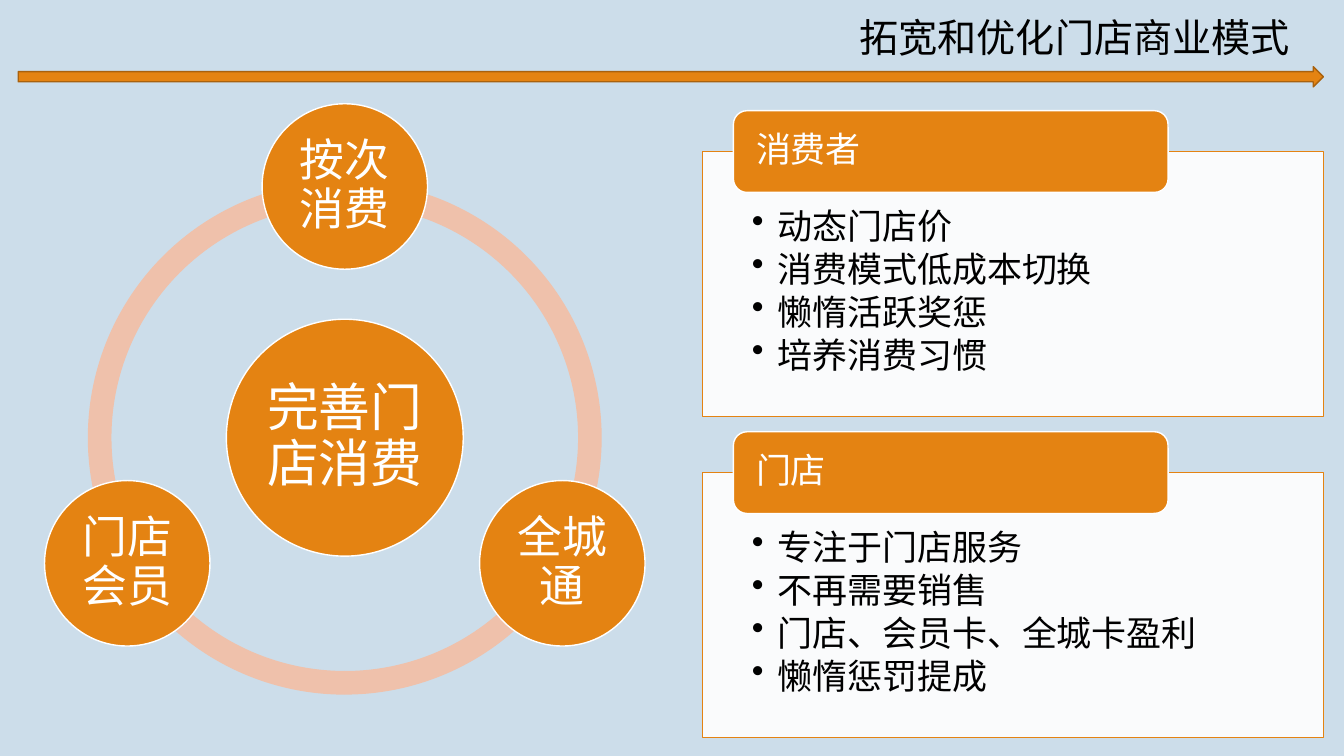
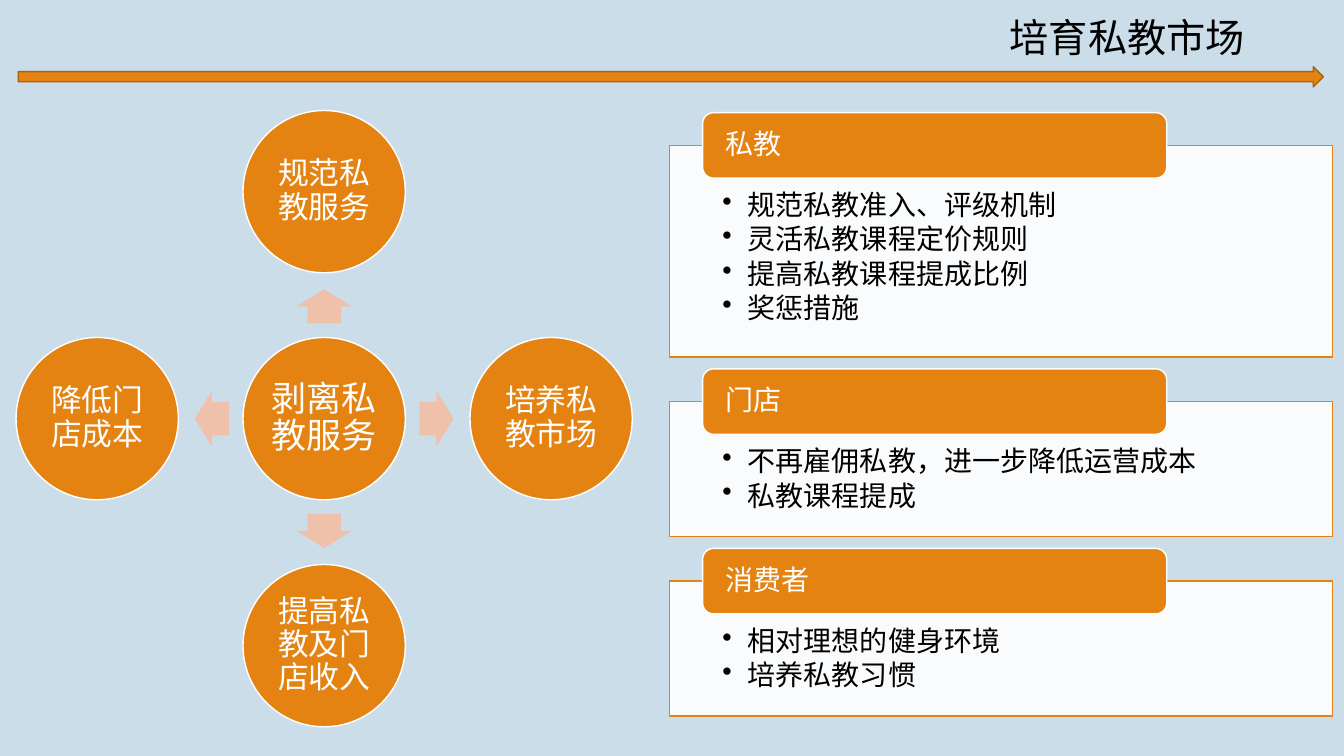
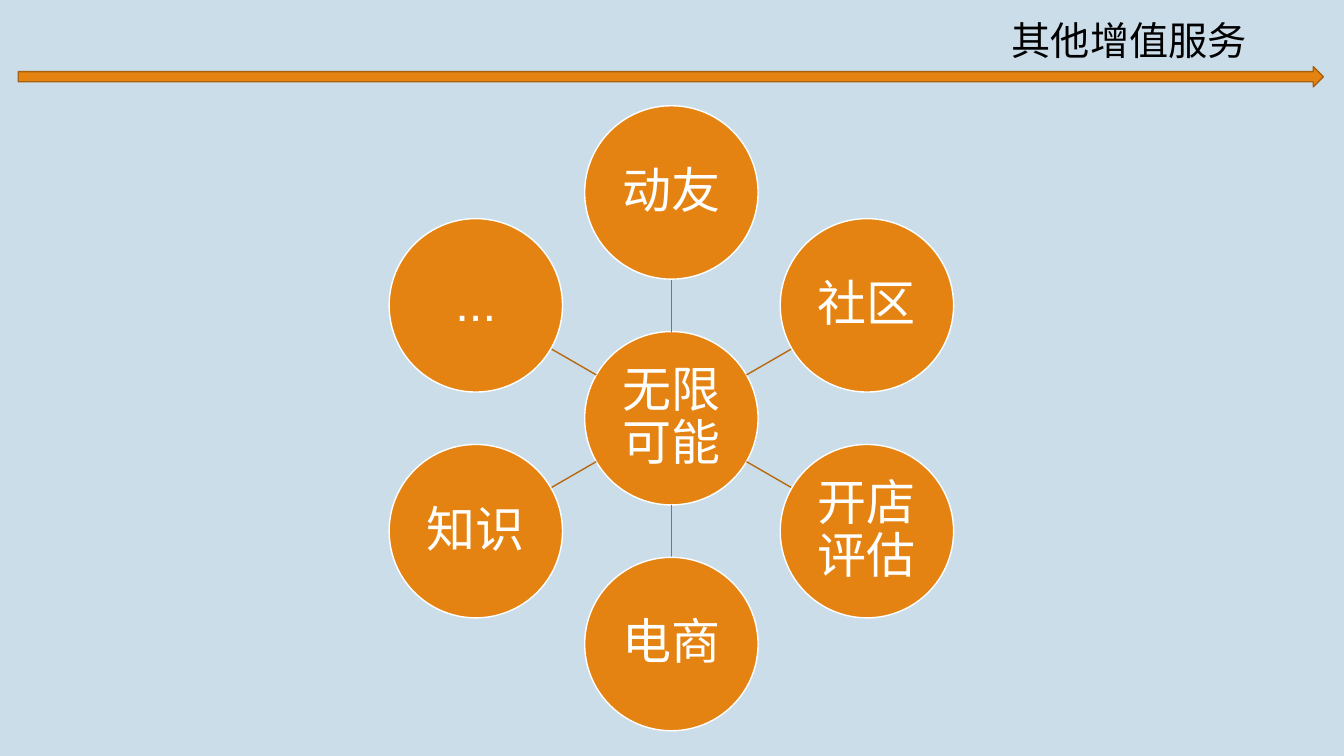
from dataclasses import dataclass
from math import cos, radians, sin

from lxml.etree import SubElement as Sub
from pptx import Presentation
from pptx.dml.color import RGBColor as Rgb
from pptx.enum.shapes import MSO_CONNECTOR as Link, MSO_SHAPE as Kind
from pptx.enum.text import MSO_ANCHOR as Anchor, MSO_AUTO_SIZE as Fit, PP_ALIGN as Align
from pptx.oxml.ns import qn
from pptx.util import Cm, Pt


# Theme: colours, font and type sizes
@dataclass(frozen=True)
class Theme:
    back: str = "CCDDEA"
    main: str = "E48312"
    edge: str = "A9610D"
    spoke: str = "B7690E"
    pale: str = "EFC1AB"
    white: str = "FFFFFF"
    black: str = "000000"
    font: str = "Arial"
    title: int = 28
    hub: int = 37
    node: int = 32
    core: int = 25
    leaf: int = 22
    star: int = 35
    large: int = 25
    small: int = 20


T = Theme()


# Basic elements
def color(code):
    return Rgb.from_string(code)


def style(para, size, ink):
    for run in para.runs:
        run.font.name = T.font
        run.font.size = Pt(size)
        run.font.color.rgb = color(ink)


def shape(slide, kind, x, y, w, h, fill, line=None):
    item = slide.shapes.add_shape(kind, Cm(x), Cm(y), Cm(w), Cm(h))
    item.shadow.inherit = False
    item.fill.solid()
    item.fill.fore_color.rgb = color(fill)
    if line:
        item.line.color.rgb = color(line)
        item.line.width = Pt(1)
    else:
        item.line.fill.background()
    return item


def inset(frame, left, top, right, bottom):
    frame.margin_left, frame.margin_top = Cm(left), Cm(top)
    frame.margin_right, frame.margin_bottom = Cm(right), Cm(bottom)


def label(item, text, size, align, side, edge):
    frame = item.text_frame
    frame.word_wrap = True
    frame.vertical_anchor = Anchor.MIDDLE
    inset(frame, side, edge, side, edge)
    frame.text = text
    para = frame.paragraphs[0]
    para.alignment = align
    para.line_spacing = 0.9
    style(para, size, T.white)


def disc(slide, x, y, width, text, size):
    item = shape(slide, Kind.OVAL, x - width / 2, y - width / 2,
                 width, width, T.main, T.white)
    label(item, text, size, Align.CENTER, 0.08, 0.08)


def polar(x, y, dist, angle):
    turn = radians(angle)
    return x + dist * cos(turn), y + dist * sin(turn)


def angles(count):
    return [-90 + 360 / count * i for i in range(count)]


# Panels: a bulleted box with a heading tab on its upper edge
def bullet(para, size):
    para.level = 1
    para.alignment = Align.LEFT
    para.line_spacing = 0.9
    para.space_after = Pt(size * 0.15)
    props = para._p.get_or_add_pPr()
    props.set("marL", str(Cm(0.64)))
    props.set("indent", str(-Cm(0.64)))
    Sub(props, qn("a:buChar")).set("char", "•")
    style(para, size, T.black)


def panel(slide, x, y, w, h, tab, head, lines, size):
    box = shape(slide, Kind.RECTANGLE, x, y + tab / 2, w, h, T.white, T.main)
    tint = box.fill._xPr.find(".//" + qn("a:srgbClr"))
    Sub(tint, qn("a:alpha")).set("val", "90000")
    frame = box.text_frame
    frame.word_wrap = True
    frame.vertical_anchor = Anchor.TOP
    side = w * 0.08
    inset(frame, side, tab * 0.7, side, 0.45)
    frame.text = "\n".join(lines)
    for para in frame.paragraphs:
        bullet(para, size)
    cap = shape(slide, Kind.ROUNDED_RECTANGLE, x + w * 0.05, y,
                w * 0.7, tab, T.main, T.white)
    label(cap, head, size, Align.LEFT, w * 0.03, 0)


def stack(slide, x, y, w, tab, gap, size, panels):
    for head, h, lines in panels:
        panel(slide, x, y, w, h, tab, head, lines, size)
        y += tab / 2 + h + gap


# Diagrams
def ring(slide, x, y, hub, nodes):
    wide = 12.95
    for start, end in ((90, 162), (18, 90), (162, 18)):
        arc = shape(slide, Kind.BLOCK_ARC, x - wide / 2, y - wide / 2,
                    wide, wide, T.pale)
        # Angles count in 60000ths of a degree, adjustments in 100000ths
        for i, value in enumerate((start * 0.6, end * 0.6, 0.046)):
            arc.adjustments[i] = value
    disc(slide, x, y, 5.97, hub, T.hub)
    for text, angle in zip(nodes, angles(len(nodes))):
        disc(slide, *polar(x, y, 6.33, angle), 4.17, text, T.node)


def burst(slide, x, y, hub, nodes):
    wide, long, tall = 4.09, 0.86, 1.4
    disc(slide, x, y, wide, hub, T.core)
    for text, angle in zip(nodes, angles(len(nodes))):
        ax, ay = polar(x, y, 2.83, angle)
        arrow = shape(slide, Kind.RIGHT_ARROW, ax - long / 2, ay - tall / 2,
                      long, tall, T.pale)
        arrow.adjustments[0] = 0.6
        arrow.rotation = angle % 360
        disc(slide, *polar(x, y, 5.72, angle), wide, text, T.leaf)


def spoke(slide, start, end):
    line = slide.shapes.add_connector(Link.STRAIGHT, *map(Cm, start + end))
    line.line.color.rgb = color(T.spoke)
    line.line.width = Pt(1)
    Sub(line._element.spPr, qn("a:effectLst"))


def star(slide, x, y, hub, nodes):
    wide, dist = 4.37, 5.69
    disc(slide, x, y, wide, hub, T.star)
    for text, angle in zip(nodes, angles(len(nodes))):
        spoke(slide, polar(x, y, wide / 2, angle),
              polar(x, y, dist - wide / 2, angle))
        disc(slide, *polar(x, y, dist, angle), wide, text, T.star)


# Shared header: arrow band and title
def header(slide, text, x, y, w):
    shape(slide, Kind.RIGHT_ARROW, 0.46, 1.68, 32.89, 0.51, T.main, T.edge)
    box = slide.shapes.add_textbox(Cm(x), Cm(y), Cm(w), Cm(1.45))
    frame = box.text_frame
    frame.word_wrap = False
    frame.auto_size = Fit.SHAPE_TO_FIT_TEXT
    frame.text = text
    style(frame.paragraphs[0], T.title, T.black)


def main():
    deck = Presentation()
    deck.slide_width, deck.slide_height = Cm(33.87), Cm(19.05)
    back = deck.slide_master.background.fill
    back.solid()
    back.fore_color.rgb = color(T.back)
    blank = deck.slide_layouts[6]

    # Store business model
    slide = deck.slides.add_slide(blank)
    ring(slide, 8.69, 11.03, "完善门店消费", ["按次消费", "全城通", "门店会员"])
    stack(slide, 17.7, 2.79, 15.65, 2.06, 0.38, T.large, [
        ("消费者", 6.68, ["动态门店价", "消费模式低成本切换",
                       "懒惰活跃奖惩", "培养消费习惯"]),
        ("门店", 6.68, ["专注于门店服务", "不再需要销售",
                      "门店、会员卡、全城卡盈利", "懒惰惩罚提成"]),
    ])
    header(slide, "拓宽和优化门店商业模式", 21.41, 0.2, 11.48)

    # Private coaching market
    slide = deck.slides.add_slide(blank)
    burst(slide, 8.17, 10.55, "剥离私教服务",
          ["规范私教服务", "培养私教市场", "提高私教及门店收入", "降低门店成本"])
    stack(slide, 16.87, 2.84, 16.71, 1.65, 0.3, T.small, [
        ("私教", 5.33, ["规范私教准入、评级机制", "灵活私教课程定价规则",
                      "提高私教课程提成比例", "奖惩措施"]),
        ("门店", 3.4, ["不再雇佣私教，进一步降低运营成本", "私教课程提成"]),
        ("消费者", 3.4, ["相对理想的健身环境", "培养私教习惯"]),
    ])
    header(slide, "培育私教市场", 25.2, 0.2, 6.5)

    # Added services
    slide = deck.slides.add_slide(blank)
    star(slide, 16.92, 10.54, "无限可能",
         ["动友", "社区", "开店评估", "电商", "知识", "..."])
    header(slide, "其他增值服务", 25.25, 0.28, 6.5)

    deck.save("out.pptx")


main()
